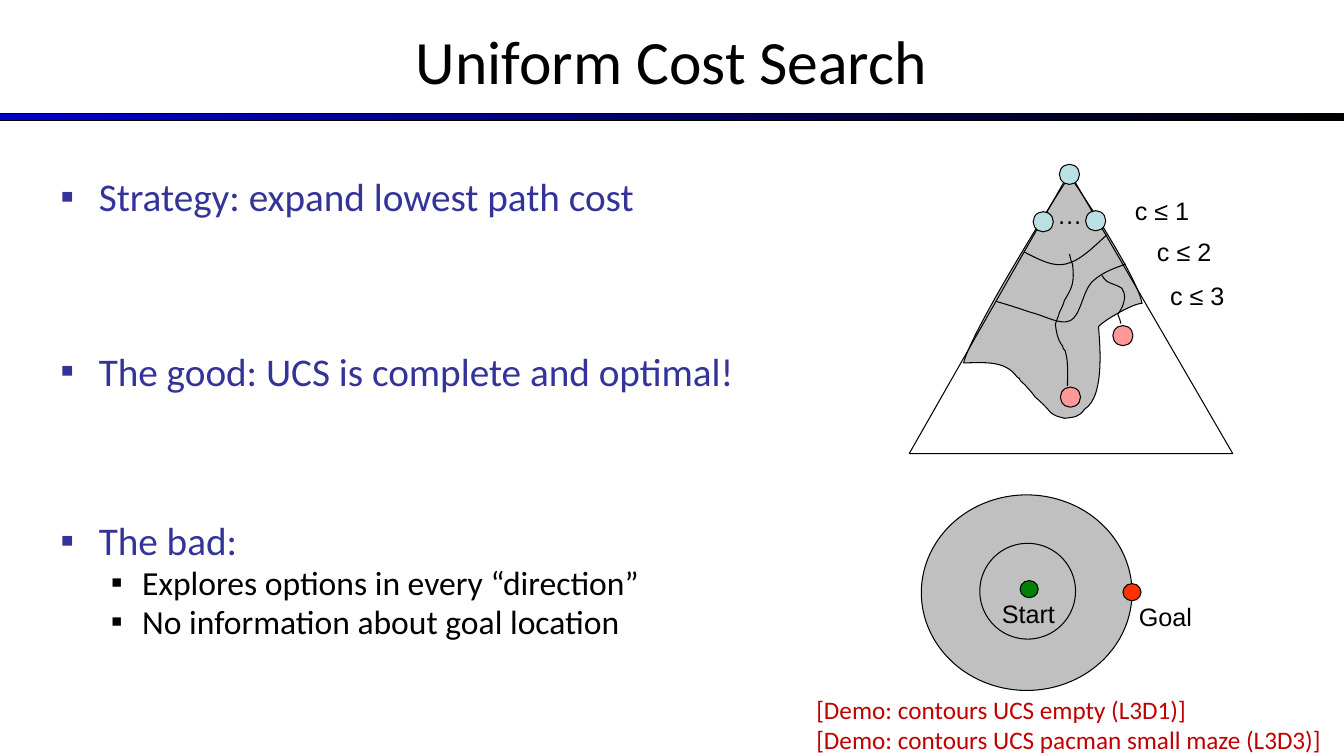
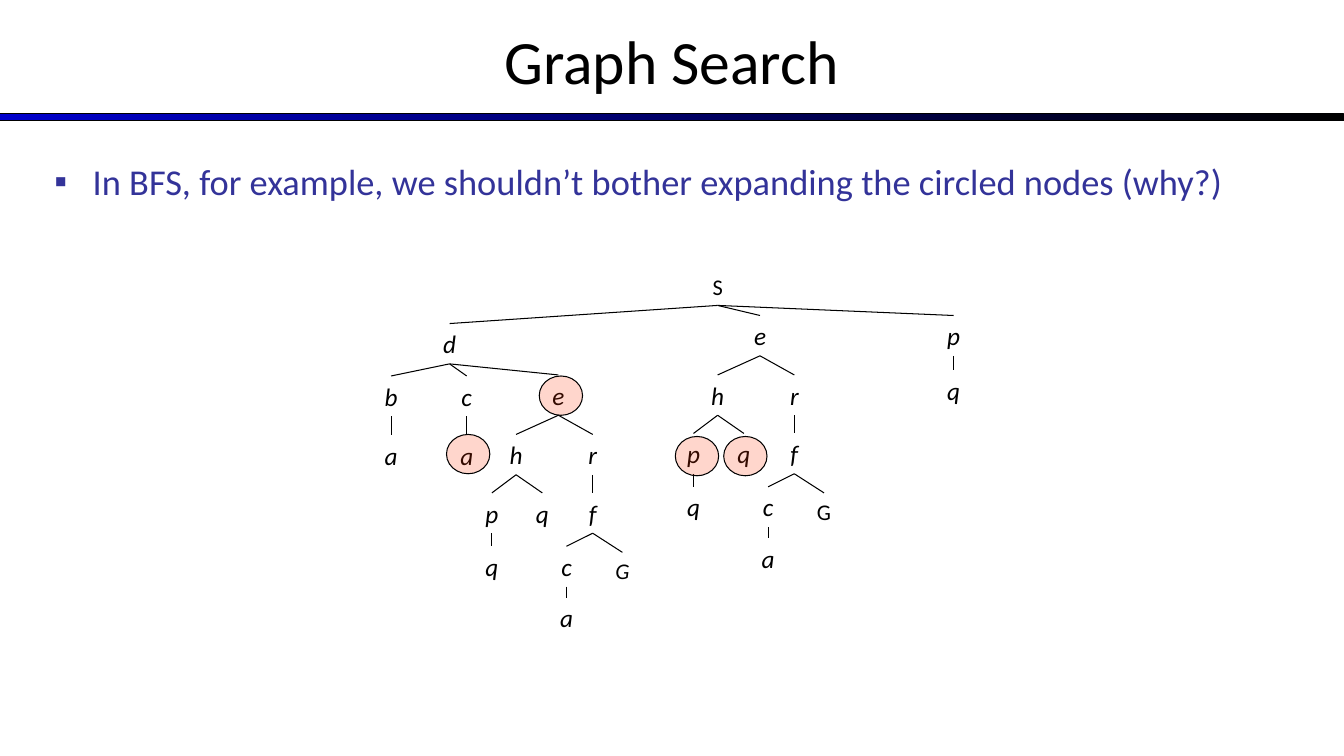
from dataclasses import dataclass, replace
from typing import Any, NamedTuple

from lxml import etree
from pptx import Presentation
from pptx import util as u
from pptx.dml.color import RGBColor
from pptx.enum import shapes, text
from pptx.oxml.ns import qn

EMU_PER_PX = 9144  # 100 px to the inch
COLORS = {
    "black": "000000", "band": "0000CC", "bullet": "333399", "demo": "C00000",
    "explored": "C0C0C0", "node": "BBE0E3", "goal_node": "FF9999",
    "start": "008000", "goal": "FF3300",
}
INDENTS = [(38, 38), (81, 31)]  # left margin and hanging indent by level
Point = tuple[int, int]


class Box(NamedTuple):
    left: int
    top: int
    width: int
    height: int


class Disc(NamedTuple):
    box: Box
    color: str = ""
    alpha: int = 100


class Label(NamedTuple):
    lines: list[str]
    box: Box
    font: str = "Arial"
    color: str = "black"


class Bullet(NamedTuple):
    words: str
    size: int
    level: int = 0
    before: float = 0
    color: str = "bullet"
    line_spacing: float = 0.8


class Outline(NamedTuple):
    """A start point, then two control points and an end for each curve."""
    points: list[Point]
    color: str = ""


@dataclass(frozen=True)
class Node:
    key: str
    letter: str
    center: int
    top: int
    parent: str = ""
    width: int = 42
    height: int = 40
    size: int = 18
    italic: bool = True


TITLE_BOX = Box(0, -3, 1333, 125)
BAND_BOX = Box(0, 113, 1333, 7)

UCS_BULLETS = [
    Bullet("Strategy: expand lowest path cost", 28),
    Bullet("The good: UCS is complete and optimal!", 28, before=98),
    Bullet("The bad:", 28, before=94),
    Bullet("Explores options in every “direction”", 24, 1, 4.8, "black"),
    Bullet("No information about goal location", 24, 1, 4.8, "black"),
]
EXPLORED_REGION = Outline([
    (1067, 183), (1080, 202), (1129, 277), (1133, 301), (1124, 301), (1095, 318), (1090, 324),
    (1090, 332), (1098, 393), (1076, 406), (1071, 414), (1065, 414), (1056, 415),
    (1049, 413), (1047, 413), (1042, 409), (1039, 405), (1032, 398), (1027, 394),
    (1021, 386), (1024, 390), (1017, 382), (1004, 370), (1017, 379), (1009, 374),
    (997, 357), (976, 360), (956, 360), (964, 329), (1036, 213), (1055, 184),
    (1073, 155), (1064, 183), (1067, 183)], "explored")
TREE_TRIANGLE = [(902, 450), (1223, 450), (1061, 171)]
PATHS = [
    Outline([(1061, 252), (1062, 255), (1062, 259), (1064, 262), (1066, 280), (1064, 285),
             (1056, 298), (1055, 302), (1053, 306), (1051, 310), (1049, 317), (1051, 311),
             (1049, 316), (1048, 318), (1047, 322), (1047, 322), (1048, 329), (1049, 337),
             (1054, 343), (1055, 344), (1055, 345), (1055, 346), (1056, 347), (1057, 348),
             (1057, 349), (1060, 360), (1059, 370), (1059, 383)]),
    Outline([(1093, 273), (1094, 275), (1096, 277), (1098, 279), (1103, 282), (1109, 283),
             (1113, 286), (1117, 292), (1116, 297), (1114, 303), (1113, 306), (1109, 312),
             (1109, 312), (1110, 315), (1112, 318), (1112, 321)]),
]
CONTOURS = [
    Outline([(1117, 262), (1105, 266), (1092, 271), (1083, 280), (1074, 290), (1072, 313),
             (1062, 318), (1052, 323), (1036, 313), (1023, 310), (1011, 306), (999, 302),
             (988, 299)]),
    Outline([(1098, 233), (1084, 246), (1071, 259), (1057, 262), (1044, 265), (1030, 257),
             (1016, 250)]),
]
EXPLORED_DISC = Disc(Box(914, 491, 209, 194), "explored")
UCS_DISCS = [
    Disc(Box(1012, 576, 18, 17), "start"),
    Disc(Box(1114, 579, 18, 17), "goal"),
    Disc(Box(972, 539, 95, 95)),
    *(Disc(Box(left, top, 20, 20), "node")
      for left, top in [(1025, 210), (1077, 209), (1051, 163)]),
    *(Disc(Box(left, top, 20, 20), "goal_node")
      for left, top in [(1104, 323), (1052, 384)]),
]
UCS_LABELS = [
    Label(["Start"], Box(984, 589, 100, 40)),
    Label(["Goal"], Box(1120, 592, 100, 40)),
    Label(["…"], Box(1039, 193, 30, 40)),
    Label(["c ≤ 1"], Box(1116, 189, 90, 40)),
    Label(["c ≤ 2"], Box(1138, 230, 90, 40)),
    Label(["c ≤ 3"], Box(1151, 273, 90, 40)),
    Label(["[Demo: contours UCS empty (L3D1)]",
           "[Demo: contours UCS pacman small maze (L3D3)]"],
          Box(800, 684, 530, 71), "Calibri", "demo"),
]

E_BRANCH = [
    Node("e", "e", 754, 313, "S"),
    Node("h", "h", 712, 372, "e"),
    Node("r", "r", 788, 372, "e"),
    Node("p", "p", 688, 430, "h"),
    Node("q", "q", 738, 430, "h"),
    Node("f", "f", 788, 430, "r"),
    Node("pq", "q", 688, 483, "p"),
    Node("c", "c", 762, 483, "f"),
    Node("G", "G", 817, 489, "f", 83, 37, 16, False),
    Node("a", "a", 762, 534, "c"),
]


def repeated_e_branch() -> list[Node]:
    """The e branch once more, hung below d."""
    return [replace(node, key="d" + node.key, center=node.center - 200, top=node.top + 59,
                    parent="d" if node.key == "e" else "d" + node.parent, italic=True)
            for node in E_BRANCH]


SEARCH_TREE = [
    Node("S", "S", 712, 266, "", 108, 37, 16, False),
    Node("d", "d", 446, 321, "S"),
    Node("b", "b", 388, 373, "d"),
    Node("ba", "a", 388, 432, "b"),
    Node("d_c", "c", 463, 373, "d"),
    Node("d_ca", "a", 463, 432, "d_c"),
    *E_BRANCH,
    *repeated_e_branch(),
    Node("s_p", "p", 946, 313, "S"),
    Node("s_pq", "q", 946, 367, "s_p"),
]
CIRCLED_NODES = [Disc(Box(left, top, 43, 39), "goal", 20)
                 for left, top in [(535, 373), (670, 433), (443, 431), (718, 433)]]


def px(value: float) -> u.Emu:
    return u.Emu(round(value * EMU_PER_PX))


def emu(box: Box) -> list[u.Emu]:
    return [px(value) for value in box]


def rgb(name: str) -> RGBColor:
    return RGBColor.from_string(COLORS[name])


def set_values(target: Any, values: dict[str, Any]) -> None:
    for name, value in values.items():
        setattr(target, name, value)


def place(shape, box: Box) -> None:
    set_values(shape, dict(zip(("left", "top", "width", "height"), emu(box))))


def add_run(paragraph, words: str, color: str, values: dict[str, Any]) -> None:
    run = paragraph.add_run()
    run.text = words
    set_values(run.font, values)
    run.font.color.rgb = rgb(color)


def style_outline(shape, color: str = "") -> None:
    """Thin black line, no shadow, and a plain fill if a colour is named."""
    shape.shadow.inherit = False
    shape.line.color.rgb = rgb("black")
    shape.line.width = u.Pt(0.75)
    if color:
        shape.fill.solid()
        shape.fill.fore_color.rgb = rgb(color)
    else:
        shape.fill.background()


def add_disc(slide, disc: Disc) -> None:
    shape = slide.shapes.add_shape(shapes.MSO_SHAPE.OVAL, *emu(disc.box))
    style_outline(shape, disc.color)
    if disc.alpha < 100:
        color = shape.element.spPr.find(qn("a:solidFill"))[0]
        etree.SubElement(color, qn("a:alpha"), val=str(disc.alpha * 1000))


def add_polygon(slide, points: list[Point], color: str = "", close: bool = True):
    start, *rest = [(px(x), px(y)) for x, y in points]
    builder = slide.shapes.build_freeform(*start)
    builder.add_line_segments(rest, close=close)
    shape = builder.convert_to_shape()
    style_outline(shape, color)
    return shape


def add_outline(slide, outline: Outline) -> None:
    """Draw the points as a polygon, then join each three segments into one curve."""
    shape = add_polygon(slide, outline.points, outline.color, bool(outline.color))
    segments = list(shape.element.iter(qn("a:lnTo")))
    for first in range(0, len(outline.points) - 1, 3):
        curve = etree.Element(qn("a:cubicBezTo"))
        segments[first].addprevious(curve)
        for segment in segments[first:first + 3]:
            curve.append(segment[0])
            segment.getparent().remove(segment)


def add_label(slide, label: Label, values: dict[str, Any] | None = None,
              alignment=text.PP_ALIGN.LEFT):
    shape = slide.shapes.add_textbox(*emu(label.box))
    frame = shape.text_frame
    frame.word_wrap = True
    for index, line in enumerate(label.lines):
        paragraph = frame.add_paragraph() if index else frame.paragraphs[0]
        paragraph.alignment = alignment
        add_run(paragraph, line, label.color,
                {"name": label.font, "size": u.Pt(18), **(values or {})})
    return shape


def add_tree(slide, nodes: list[Node]) -> None:
    boxes = {}
    for node in nodes:
        box = Box(node.center - node.width // 2, node.top, node.width, node.height)
        boxes[node.key] = add_label(
            slide, Label([node.letter], box, "Calibri"),
            {"size": u.Pt(node.size), "italic": node.italic}, text.PP_ALIGN.CENTER)
    for node in nodes:
        if node.parent:
            edge = slide.shapes.add_connector(shapes.MSO_CONNECTOR.STRAIGHT, 0, 0, 0, 0)
            edge.begin_connect(boxes[node.parent], 2)
            edge.end_connect(boxes[node.key], 0)
            edge.line.color.rgb = rgb("black")
            edge.line.width = u.Pt(0.75)
            etree.SubElement(edge.element.spPr, qn("a:effectLst"))


def fill_body(body, bullets: list[Bullet], box: Box) -> None:
    place(body, box)
    frame = body.text_frame
    frame.auto_size = text.MSO_AUTO_SIZE.NONE
    for index, bullet in enumerate(bullets):
        paragraph = frame.add_paragraph() if index else frame.paragraphs[0]
        properties = paragraph._p.get_or_add_pPr()
        margin, hanging = INDENTS[bullet.level]
        properties.set("marL", str(px(margin)))
        properties.set("indent", str(px(-hanging)))
        marker_color = etree.SubElement(properties, qn("a:buClr"))
        etree.SubElement(marker_color, qn("a:srgbClr"), val=COLORS[bullet.color])
        etree.SubElement(properties, qn("a:buFont"), typeface="Arial")
        etree.SubElement(properties, qn("a:buChar"), char="▪")
        set_values(paragraph, {"level": bullet.level, "line_spacing": bullet.line_spacing,
                               "space_before": u.Pt(bullet.before)})
        add_run(paragraph, bullet.words, bullet.color,
                {"name": "Calibri", "size": u.Pt(bullet.size)})


def add_slide(presentation, title: str, bullets: list[Bullet], body_box: Box):
    slide = presentation.slides.add_slide(presentation.slide_layouts[1])
    frame = slide.shapes.title.text_frame
    set_values(frame, {"auto_size": text.MSO_AUTO_SIZE.NONE,
                       "vertical_anchor": text.MSO_ANCHOR.MIDDLE})
    frame.paragraphs[0].alignment = text.PP_ALIGN.CENTER
    add_run(frame.paragraphs[0], title, "black", {"name": "Calibri", "size": u.Pt(44)})
    fill_body(slide.placeholders[1], bullets, body_box)
    return slide


def move_band_to_layout(slide) -> None:
    """Draw the gradient band and hand it to the layout that all slides use."""
    band = slide.shapes.add_shape(shapes.MSO_SHAPE.RECTANGLE, *emu(BAND_BOX))
    style_outline(band)
    band.fill.gradient()
    band.fill.gradient_angle = 0
    for stop, position, color in zip(band.fill.gradient_stops, (0, 1), ("band", "black")):
        stop.position = position
        stop.color.rgb = rgb(color)
    band.element.nvSpPr.cNvPr.set("id", "99")
    slide.slide_layout.shapes.element.append(band.element)


def main() -> None:
    presentation = Presentation()
    set_values(presentation, {"slide_width": px(4000 / 3), "slide_height": px(750)})
    place(presentation.slide_layouts[1].placeholders[0], TITLE_BOX)

    slide = add_slide(presentation, "Uniform Cost Search", UCS_BULLETS, Box(50, 175, 783, 495))
    move_band_to_layout(slide)
    add_disc(slide, EXPLORED_DISC)
    add_outline(slide, EXPLORED_REGION)
    add_polygon(slide, TREE_TRIANGLE)
    for outline in PATHS + CONTOURS:
        add_outline(slide, outline)
    for disc in UCS_DISCS:
        add_disc(slide, disc)
    for label in UCS_LABELS:
        add_label(slide, label)

    question = Bullet("In BFS, for example, we shouldn’t bother expanding the circled nodes (why?)",
                      26, line_spacing=1.0)
    slide = add_slide(presentation, "Graph Search", [question], Box(44, 153, 1244, 517))
    add_tree(slide, SEARCH_TREE)
    for disc in CIRCLED_NODES:
        add_disc(slide, disc)
    presentation.save("out.pptx")


if __name__ == "__main__":
    main()
